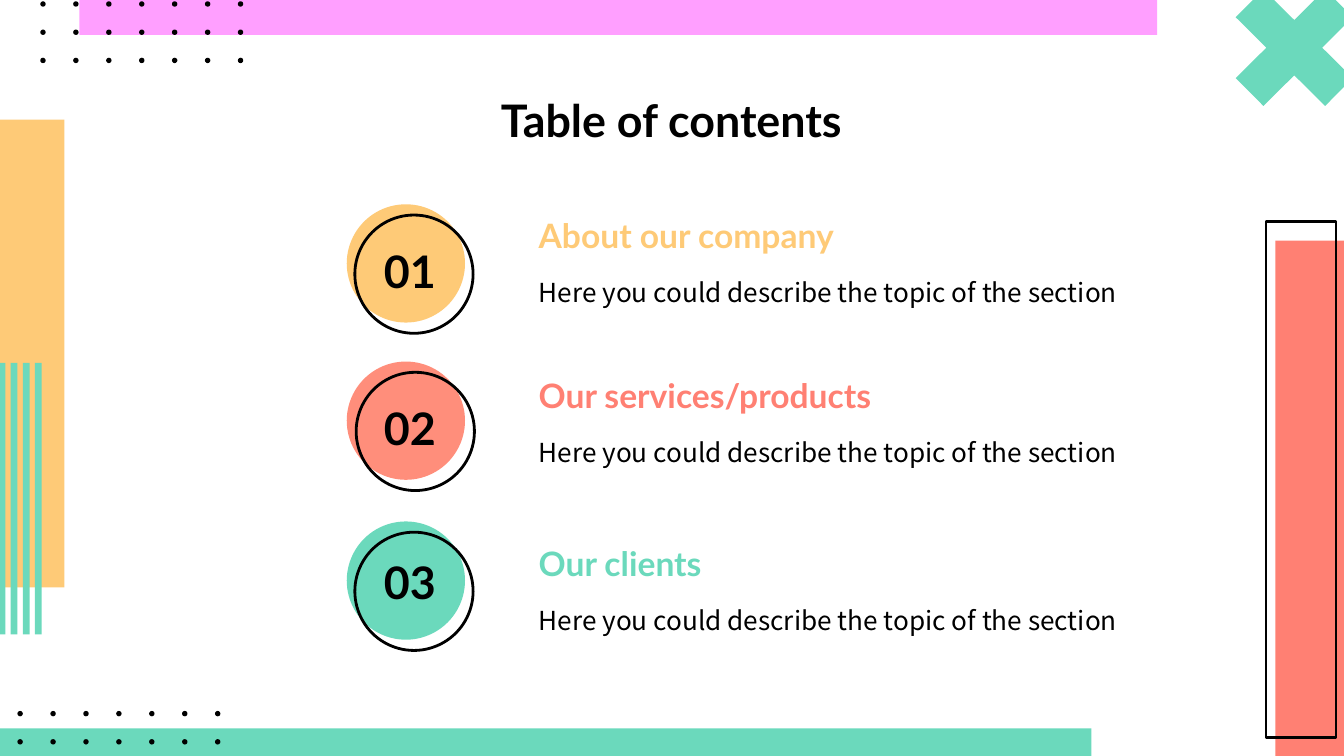
"""Build a table of contents slide with three numbered sections."""
from dataclasses import dataclass
from typing import Optional

from pptx import Presentation
from pptx.dml.color import RGBColor
from pptx.enum.shapes import MSO_SHAPE as Shape
from pptx.enum.text import MSO_ANCHOR as Anchor, PP_ALIGN as Align
from pptx.slide import Slide
from pptx.util import Inches, Pt

COLORS = {
    "black": "000000",
    "yellow": "FECA77",
    "red": "FF8073",
    "coral": "FF8E7B",
    "green": "6BD9BC",
    "pink": "FF9FFF",
}
FORMATS = {
    "title": {"name": "Lato", "size": Pt(24), "bold": True},
    "heading": {"name": "Lato", "size": Pt(18), "bold": True},
    "body": {"name": "Noto Sans CJK KR", "size": Pt(14), "bold": False},
}
DESCRIPTION = "Here you could describe the topic of the section"
DOT_COLUMNS, DOT_SPAN, DOT_ROW_STEP, DOT_SIZE = 7, 1.47, 0.21, 0.04
CIRCLE_SIZE = 0.88


@dataclass
class Area:
    left: float
    top: float
    width: float
    height: float

    def lengths(self) -> list:
        return [Inches(value) for value in (self.left, self.top, self.width, self.height)]


@dataclass
class Section:
    number: str
    heading: str
    heading_color: str
    circle_color: str
    circle_top: float
    ring_left: float
    heading_top: float
    number_top: float


SECTIONS = [
    Section("01", "About our company", "yellow", "yellow", 1.52, 2.64, 1.5, 1.66),
    Section("02", "Our services/products", "red", "coral", 2.69, 2.65, 2.69, 2.83),
    Section("03", "Our clients", "green", "green", 3.88, 2.64, 3.94, 3.97),
]


def color(name: str) -> RGBColor:
    return RGBColor.from_string(COLORS[name])


def draw_shape(page: Slide, kind: Shape, area: Area, fill: Optional[str] = None):
    """Draw a filled shape, or a black outline when no fill is given."""
    shape = page.shapes.add_shape(kind, *area.lengths())
    shape.shadow.inherit = False
    if fill:
        shape.fill.solid()
        shape.fill.fore_color.rgb = color(fill)
        shape.line.fill.background()
    else:
        shape.fill.background()
        shape.line.color.rgb = color("black")
        shape.line.width = Pt(1.5)
    return shape


def draw_text(page: Slide, text: str, area: Area, style: str, ink: str = "black",
              align: Align = Align.LEFT, anchor: Anchor = Anchor.TOP) -> None:
    """Draw one line of text in a box with even margins."""
    frame = page.shapes.add_textbox(*area.lengths()).text_frame
    frame.word_wrap = True
    frame.vertical_anchor = anchor
    for side in ("left", "top", "right", "bottom"):
        setattr(frame, f"margin_{side}", Inches(0.1))
    para = frame.paragraphs[0]
    para.alignment = align
    span = para.add_run()
    span.text = text
    for name, value in FORMATS[style].items():
        setattr(span.font, name, value)
    span.font.color.rgb = color(ink)


def draw_dots(page: Slide, left: float, top: float, rows: int) -> None:
    """Draw an evenly spaced grid of dots."""
    step = DOT_SPAN / (DOT_COLUMNS - 1)
    for row in range(rows):
        for column in range(DOT_COLUMNS):
            area = Area(left + column * step, top + row * DOT_ROW_STEP, DOT_SIZE, DOT_SIZE)
            draw_shape(page, Shape.OVAL, area, "black")


def draw_decoration(page: Slide) -> None:
    """Draw the bars, cross, stripes and dots around the edges."""
    draw_shape(page, Shape.RECTANGLE, Area(0, 0.89, 0.48, 3.48), "yellow")
    draw_shape(page, Shape.RECTANGLE, Area(9.49, 1.79, 0.52, 3.84), "red")
    draw_shape(page, Shape.RECTANGLE, Area(9.42, 1.65, 0.52, 3.84))
    cross = draw_shape(page, Shape.MATH_MULTIPLY, Area(8.99, -0.28, 1.28, 1.27), "green")
    cross.adjustments[0] = 0.23
    draw_shape(page, Shape.RECTANGLE, Area(0.59, 0, 8.02, 0.26), "pink")
    draw_shape(page, Shape.RECTANGLE, Area(0, 5.42, 8.12, 0.21), "green")
    for index in range(4):
        draw_shape(page, Shape.RECTANGLE, Area(-0.01 + 0.09 * index, 2.7, 0.05, 2.02), "green")
    draw_dots(page, 0.3, 0.01, rows=3)
    draw_dots(page, 0.13, 5.29, rows=2)


def draw_section(page: Slide, section: Section) -> None:
    """Draw a numbered circle with its heading and description."""
    circle = Area(2.58, section.circle_top, CIRCLE_SIZE, CIRCLE_SIZE)
    ring = Area(section.ring_left, section.circle_top + 0.08, CIRCLE_SIZE, CIRCLE_SIZE)
    draw_shape(page, Shape.OVAL, circle, section.circle_color)
    draw_shape(page, Shape.OVAL, ring)
    draw_text(page, section.heading, Area(3.91, section.heading_top, 4.59, 0.5),
              "heading", section.heading_color)
    draw_text(page, DESCRIPTION, Area(3.91, section.heading_top + 0.46, 4.59, 0.5), "body")
    draw_text(page, section.number, Area(2.58, section.number_top, 0.94, 0.71),
              "title", align=Align.CENTER, anchor=Anchor.MIDDLE)


def main() -> None:
    deck = Presentation()
    deck.slide_width = Inches(10)
    deck.slide_height = Inches(10) * 9 // 16
    page = deck.slides.add_slide(deck.slide_layouts[6])
    draw_decoration(page)
    draw_text(page, "Table of contents", Area(2.9, 0.59, 4.19, 0.55), "title", align=Align.CENTER)
    for section in SECTIONS:
        draw_section(page, section)
    deck.save("out.pptx")


if __name__ == "__main__":
    main()
